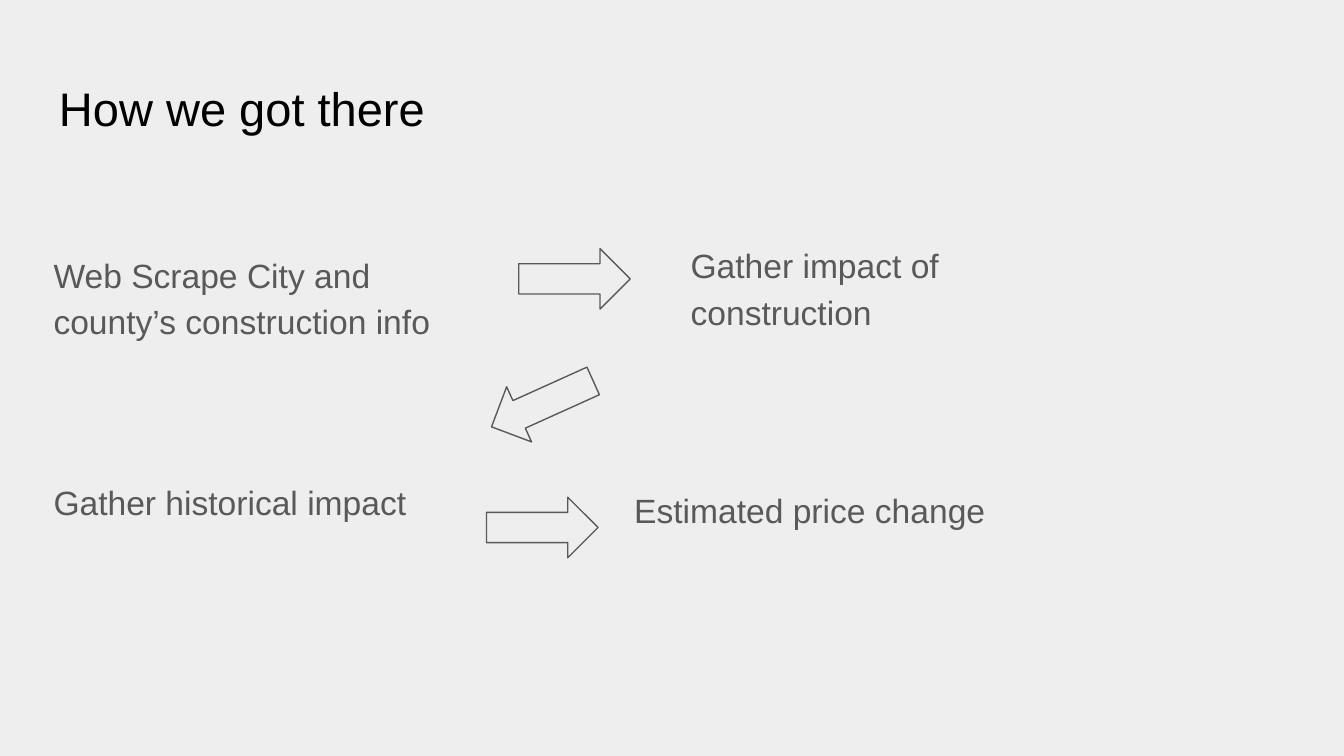
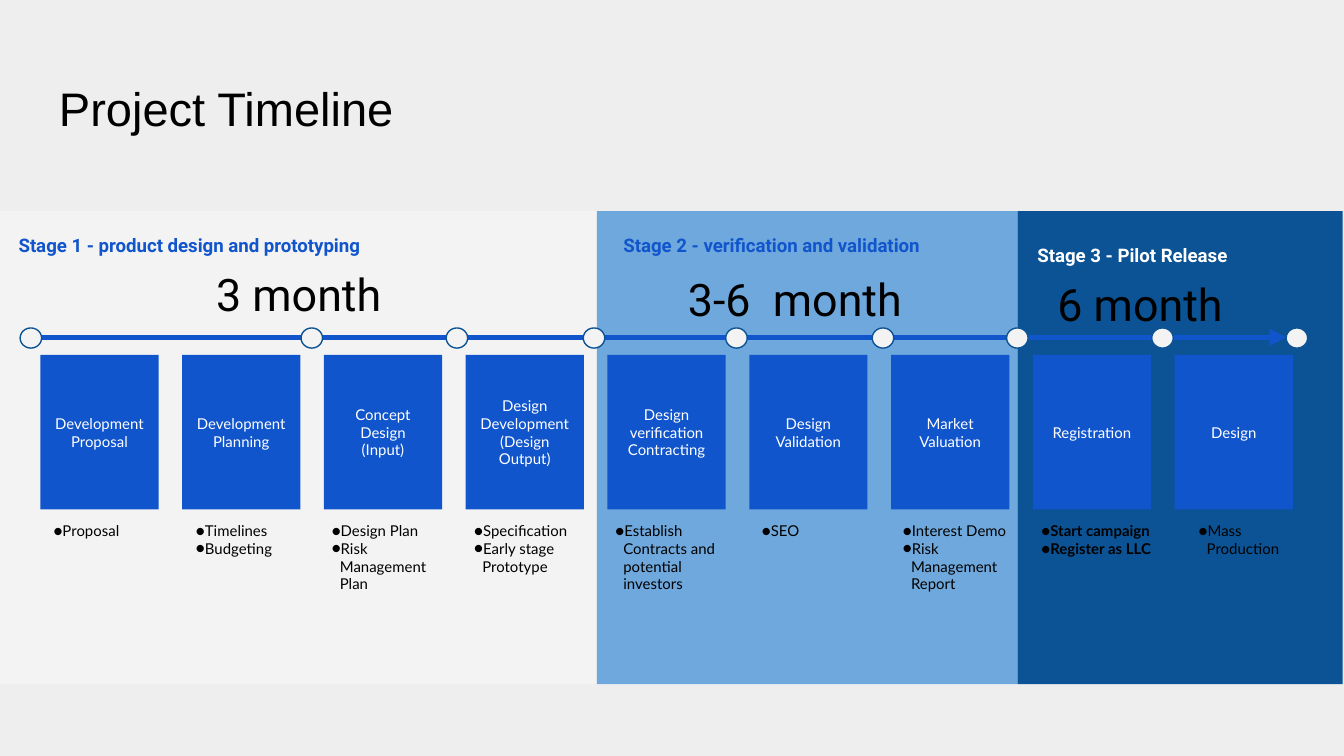
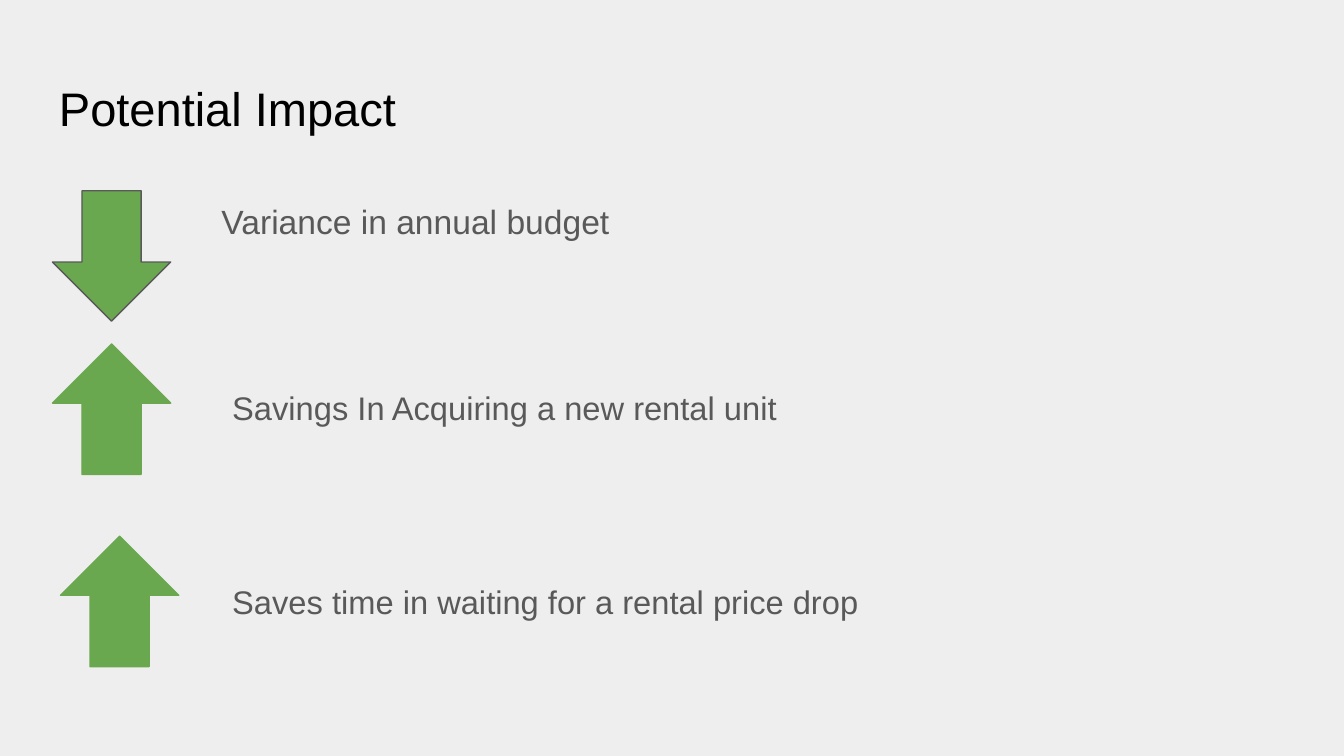
from dataclasses import dataclass

from pptx import Presentation
from pptx.dml.color import RGBColor
from pptx.enum.shapes import MSO_CONNECTOR, MSO_SHAPE
from pptx.enum.text import MSO_ANCHOR, MSO_AUTO_SIZE, PP_ALIGN
from pptx.oxml.xmlchemy import OxmlElement
from pptx.util import Inches, Pt

PAPER = RGBColor(0xEE, 0xEE, 0xEE)
PALE = RGBColor(0xF3, 0xF3, 0xF3)
WHITE = RGBColor(0xFF, 0xFF, 0xFF)
BLACK = RGBColor(0x00, 0x00, 0x00)
GRAY = RGBColor(0x59, 0x59, 0x59)
BLUE = RGBColor(0x11, 0x55, 0xCC)
SKY = RGBColor(0x6F, 0xA8, 0xDC)
NAVY = RGBColor(0x0B, 0x53, 0x94)
GREEN = RGBColor(0x6A, 0xA8, 0x4F)

INSET = 0.1
FIRST_STEP, LAST_STEP = 0.3, 8.74
STEP_TOP, STEP_W, STEP_H = 2.64, 0.88, 1.15
BAND_TOP, BAND_H = 1.57, 3.52
DOT_TOP, DOT_W, DOT_H = 2.44, 0.16, 0.15
DOTS = [0.15, 2.24, 3.32, 4.34, 5.4, 6.49, 7.49, 8.57, 9.57]
AXIS_Y = 2.51


@dataclass(frozen=True)
class Box:
    left: float
    top: float
    width: float
    height: float

    def emu(self) -> list:
        return [Inches(v) for v in (self.left, self.top, self.width, self.height)]


@dataclass(frozen=True)
class Style:
    size: float
    font: str = "Arial"
    color: RGBColor = GRAY
    bold: bool = False
    spacing: float = 1.0
    align: PP_ALIGN = PP_ALIGN.LEFT
    anchor: MSO_ANCHOR = MSO_ANCHOR.TOP
    bullet: str = ""


TITLE = Style(25.2, color=BLACK)
PROCESS = Style(18, spacing=1.15)
STEP = Style(8, "Lato", WHITE, align=PP_ALIGN.CENTER, anchor=MSO_ANCHOR.MIDDLE)
NOTE = Style(8, "Lato", BLACK, bullet="●")
BOLD_NOTE = Style(8, "Lato", BLACK, bold=True, bullet="●")


def stage_style(color: RGBColor) -> Style:
    return Style(10, "Roboto", color, bold=True, anchor=MSO_ANCHOR.MIDDLE)


def duration_style(align: PP_ALIGN = PP_ALIGN.LEFT) -> Style:
    return Style(24, "Roboto", BLACK, align=align, anchor=MSO_ANCHOR.MIDDLE)


@dataclass(frozen=True)
class Stage:
    band: Box
    fill: RGBColor
    name: str
    name_box: Box
    name_color: RGBColor
    duration: str
    duration_box: Box
    align: PP_ALIGN = PP_ALIGN.LEFT


@dataclass(frozen=True)
class Step:
    name: list[str]
    note_left: float
    notes: list[str]
    style: Style = NOTE
    note_h: float = 0.5


@dataclass(frozen=True)
class Impact:
    arrow: MSO_SHAPE
    arrow_left: float
    arrow_top: float
    outline: RGBColor
    text: str
    box: Box
    size: float


STAGES = [
    Stage(Box(0, BAND_TOP, 4.44, BAND_H), PALE,
          "Stage 1 - product design and prototyping", Box(0.04, 1.72, 4.47, 0.21), BLUE,
          "3 month", Box(1.51, 2.06, 2.89, 0.25)),
    Stage(Box(4.44, BAND_TOP, 3.13, BAND_H), SKY,
          "Stage 2 - verification and validation", Box(4.54, 1.72, 2.51, 0.21), BLUE,
          "3-6  month", Box(4.58, 2.1, 2.67, 0.25), PP_ALIGN.CENTER),
    Stage(Box(7.57, BAND_TOP, 2.42, BAND_H), NAVY,
          "Stage 3 - Pilot Release", Box(7.62, 1.72, 2.11, 0.35), WHITE,
          "6 month", Box(7.77, 2.11, 1.8, 0.29)),
]

STEPS = [
    Step(["Development Proposal"], 0.3, ["Proposal"]),
    Step(["Development Planning"], 1.36, ["Timelines", "Budgeting"]),
    Step(["Concept Design (Input)"], 2.37, ["Design Plan", "Risk Management Plan"]),
    Step(["Design Development\n(Design Output)"], 3.43,
         ["Specification", "Early stage Prototype"]),
    Step(["Design verification", "Contracting"], 4.48,
         ["Establish Contracts and potential investors"]),
    Step(["Design Validation"], 5.57, ["SEO"]),
    Step(["Market Valuation"], 6.62, ["Interest Demo", "Risk Management Report"]),
    Step(["Registration"], 7.65, ["Start campaign", "Register as LLC"], BOLD_NOTE, 1.01),
    Step(["Design"], 8.82, ["Mass Production"]),
]

IMPACTS = [
    Impact(MSO_SHAPE.DOWN_ARROW, 0.39, 1.42, GRAY, "Variance in annual budget",
           Box(1.55, 1.42, 4.7, 1.07), 18),
    Impact(MSO_SHAPE.UP_ARROW, 0.39, 2.56, GREEN, "Savings In Acquiring a new rental unit",
           Box(1.63, 2.81, 4.7, 0.72), 17.5),
    Impact(MSO_SHAPE.UP_ARROW, 0.45, 3.99, GREEN,
           "Saves time in waiting for a rental price drop",
           Box(1.63, 4.25, 5.07, 0.72), 17.5),
]


def add_bullet(p, style: Style) -> None:
    pPr = p._p.get_or_add_pPr()
    pPr.set("marL", str(Inches(0.06)))
    pPr.set("indent", str(-Inches(0.06)))
    color = OxmlElement("a:buClr")
    rgb = OxmlElement("a:srgbClr")
    rgb.set("val", str(style.color))
    color.append(rgb)
    pPr.append(color)
    for tag, name, value in [("a:buSzPts", "val", str(round(style.size * 100))),
                             ("a:buFont", "typeface", style.font),
                             ("a:buChar", "char", style.bullet)]:
        bu = OxmlElement(tag)
        bu.set(name, value)
        pPr.append(bu)


def write(sp, paragraphs: list[str], style: Style, top_inset: float = INSET) -> None:
    """Fill a shape with paragraphs; a newline inside one is a line break."""
    tf = sp.text_frame
    tf.word_wrap = True
    tf.auto_size = MSO_AUTO_SIZE.NONE
    tf.vertical_anchor = style.anchor
    tf.margin_left = tf.margin_right = tf.margin_bottom = Inches(INSET)
    tf.margin_top = Inches(top_inset)
    for i, text in enumerate(paragraphs):
        p = tf.add_paragraph() if i else tf.paragraphs[0]
        p.alignment = style.align
        p.line_spacing = style.spacing
        if style.bullet:
            add_bullet(p, style)
        for j, line in enumerate(text.split("\n")):
            if j:
                p.add_line_break()
            r = p.add_run()
            r.text = line
            r.font.name = style.font
            r.font.size = Pt(style.size)
            r.font.bold = style.bold
            r.font.color.rgb = style.color


def add_text(s, box: Box, paragraphs: list[str], style: Style,
             top_inset: float = INSET) -> None:
    write(s.shapes.add_textbox(*box.emu()), paragraphs, style, top_inset)


def add_shape(s, kind: MSO_SHAPE, box: Box, fill: RGBColor,
              outline: RGBColor | None = None):
    sp = s.shapes.add_shape(kind, *box.emu())
    sp.shadow.inherit = False
    sp.fill.solid()
    sp.fill.fore_color.rgb = fill
    if outline is None:
        sp.line.fill.background()
    else:
        sp.line.color.rgb = outline
        sp.line.width = Pt(0.75)
    return sp


def add_time_axis(s) -> None:
    line = s.shapes.add_connector(MSO_CONNECTOR.STRAIGHT, Inches(DOTS[0] + DOT_W),
                                  Inches(AXIS_Y), Inches(DOTS[-1]), Inches(AXIS_Y))
    line.line.color.rgb = BLUE
    line.line.width = Pt(3)
    tail = OxmlElement("a:tailEnd")
    tail.set("type", "triangle")
    line.line._get_or_add_ln().append(tail)
    line._element.spPr.append(OxmlElement("a:effectLst"))
    for left in DOTS:
        add_shape(s, MSO_SHAPE.OVAL, Box(left, DOT_TOP, DOT_W, DOT_H), PALE, NAVY)


def new_slide(prs, title: str):
    s = prs.slides.add_slide(prs.slide_layouts[6])
    s.background.fill.solid()
    s.background.fill.fore_color.rgb = PAPER
    add_text(s, Box(0.34, 0.49, 9.32, 0.63), [title], TITLE)
    return s


def build_process(prs) -> None:
    s = new_slide(prs, "How we got there")
    lowered = 0.56
    for left, top, inset, text in [
        (0.3, 1.75, INSET, "Web Scrape City and county’s construction info"),
        (5.04, 1.22, lowered, "Gather impact of construction"),
        (0.3, 2.98, lowered, "Gather historical impact"),
        (4.62, 3.04, lowered, "Estimated price change"),
    ]:
        add_text(s, Box(left, top, 3.45, 2.23), [text], PROCESS, inset)
    for left, top, angle in [(3.86, 1.85, 0), (3.62, 3.7, 0), (3.62, 2.78, 155.7)]:
        arrow = add_shape(s, MSO_SHAPE.RIGHT_ARROW, Box(left, top, 0.83, 0.45), PAPER, GRAY)
        arrow.rotation = angle


def build_timeline(prs) -> None:
    s = new_slide(prs, "Project Timeline")
    for stage in reversed(STAGES):
        add_shape(s, MSO_SHAPE.RECTANGLE, stage.band, stage.fill)
    pitch = (LAST_STEP - FIRST_STEP) / (len(STEPS) - 1)
    for i, step in enumerate(STEPS):
        box = Box(FIRST_STEP + i * pitch, STEP_TOP, STEP_W, STEP_H)
        write(add_shape(s, MSO_SHAPE.RECTANGLE, box, BLUE), step.name, STEP)
        add_text(s, Box(step.note_left, 3.78, 1.05, step.note_h), step.notes, step.style)
    add_time_axis(s)
    for stage in STAGES:
        add_text(s, stage.duration_box, [stage.duration], duration_style(stage.align))
        add_text(s, stage.name_box, [stage.name], stage_style(stage.name_color))


def build_impact(prs) -> None:
    s = new_slide(prs, "Potential Impact")
    for impact in IMPACTS:
        add_shape(s, impact.arrow, Box(impact.arrow_left, impact.arrow_top, 0.88, 0.97),
                  GREEN, impact.outline)
        add_text(s, impact.box, [impact.text], Style(impact.size, spacing=0.95))


def main() -> None:
    prs = Presentation()
    prs.slide_width = Inches(10)
    prs.slide_height = prs.slide_width * 9 // 16
    build_process(prs)
    build_timeline(prs)
    build_impact(prs)
    prs.save("out.pptx")


if __name__ == "__main__":
    main()
